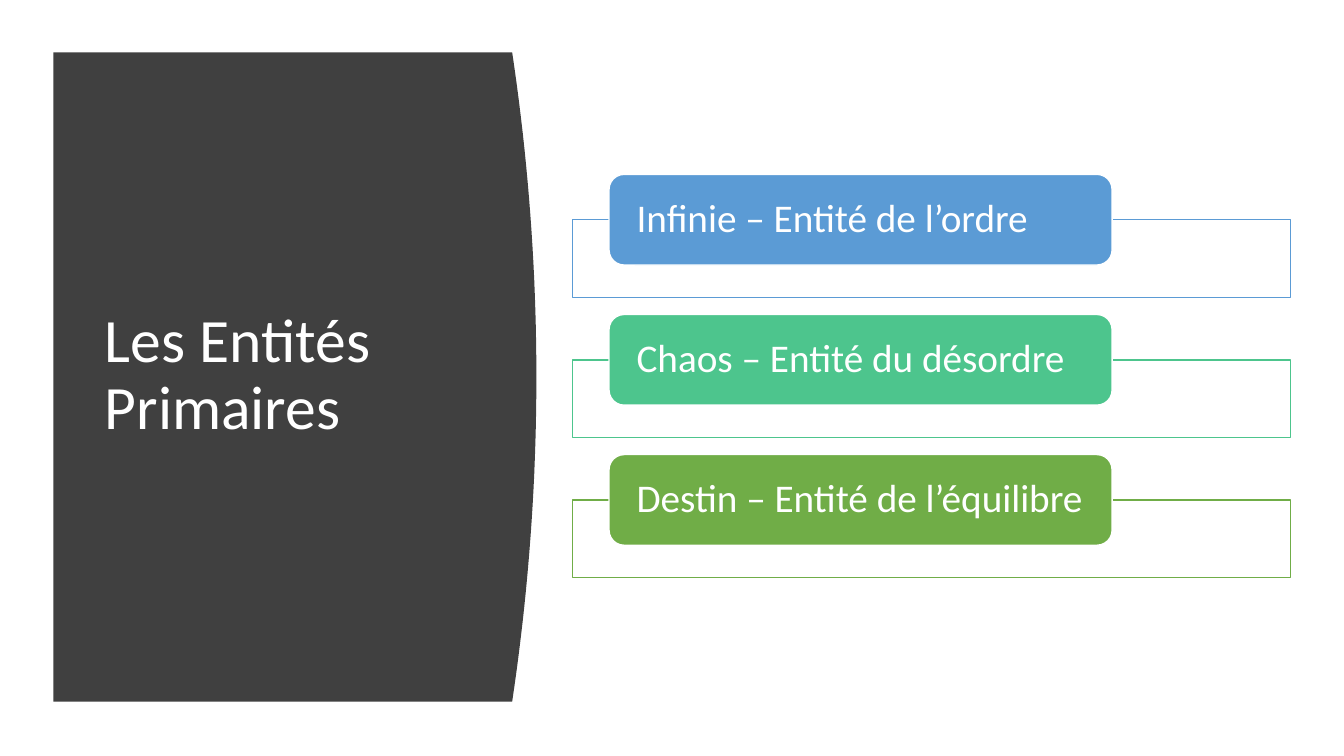
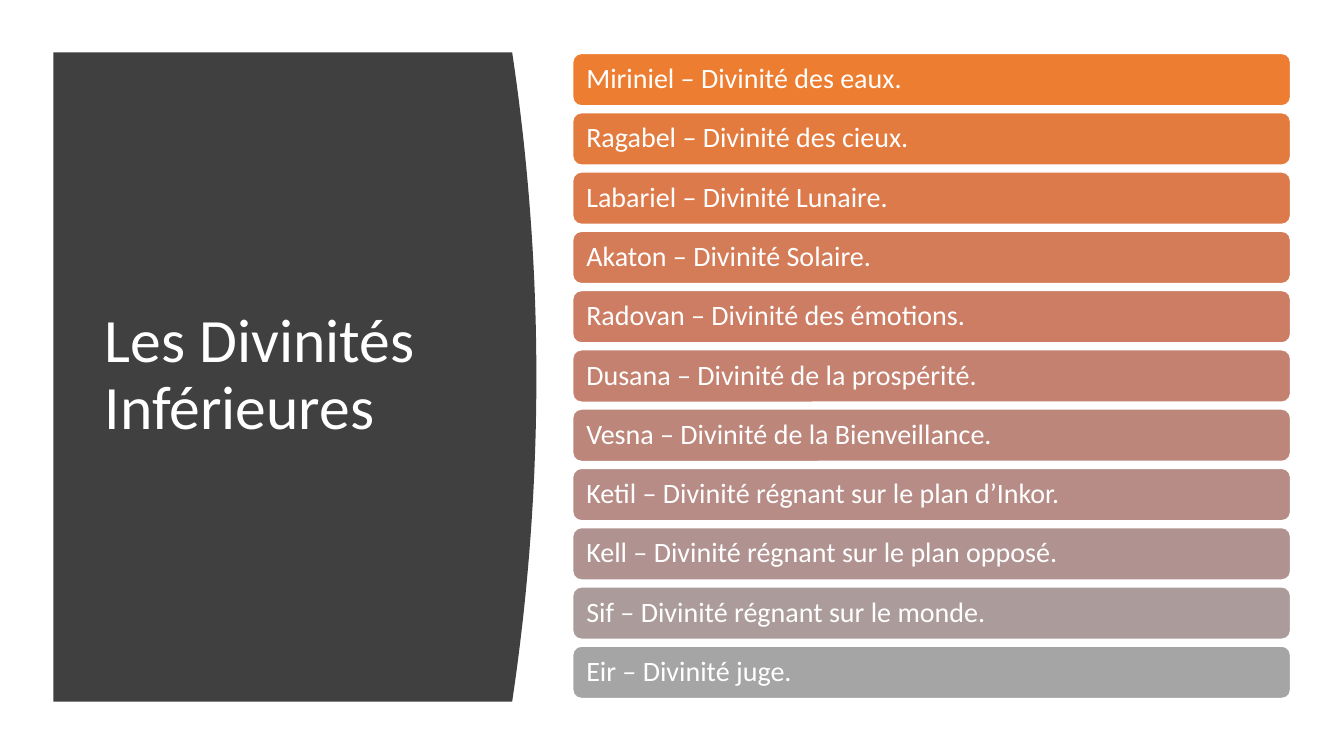
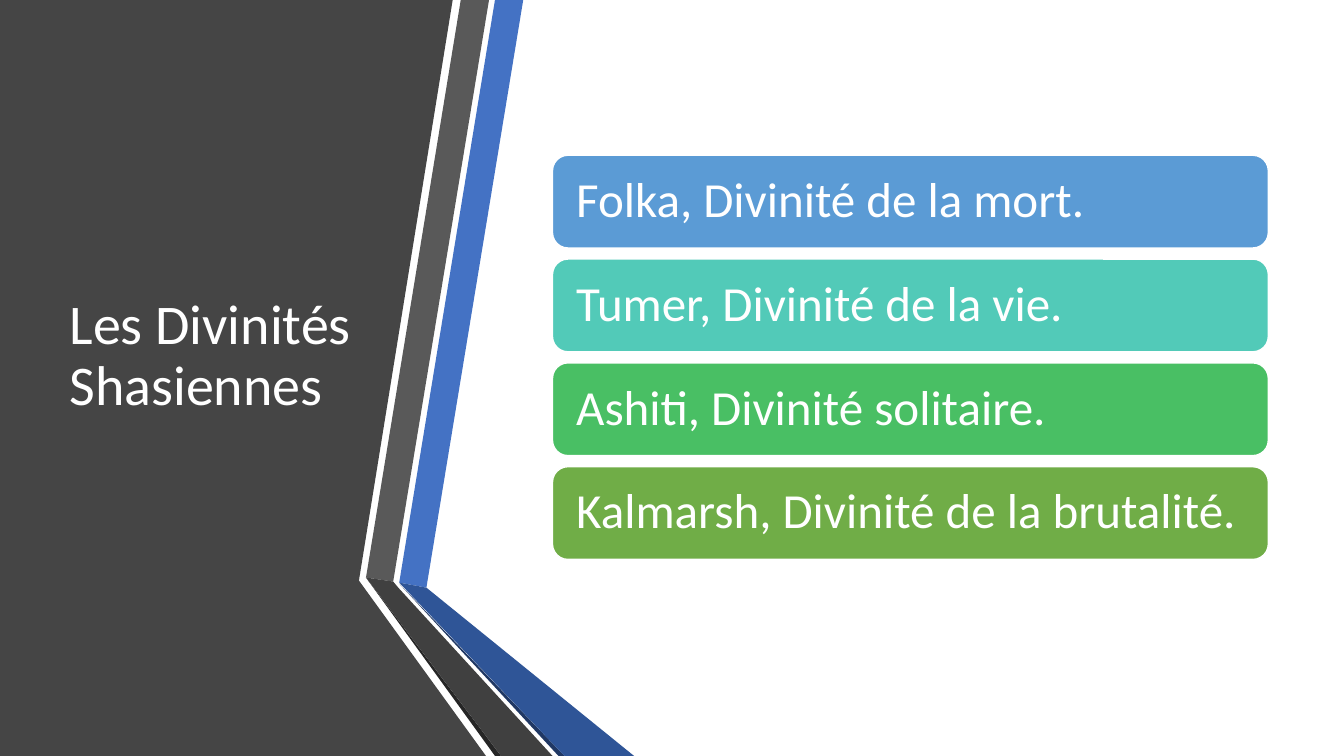
from colorsys import hls_to_rgb, rgb_to_hls
from dataclasses import dataclass

from pptx import Presentation
from pptx.dml.color import RGBColor
from pptx.enum.shapes import MSO_SHAPE
from pptx.enum.text import MSO_ANCHOR, MSO_AUTO_SIZE, PP_ALIGN
from pptx.shapes.autoshape import Shape
from pptx.slide import Slide
from pptx.text.text import TextFrame
from pptx.util import Inches, Pt

FONT = "Calibri"
WHITE = RGBColor(0xFF, 0xFF, 0xFF)
CHARCOAL = RGBColor(0x40, 0x40, 0x40)
SLATE = RGBColor(0x45, 0x45, 0x45)
GREY = RGBColor(0x59, 0x59, 0x59)
BLACKISH = RGBColor(0x26, 0x26, 0x26)
BLUE = RGBColor(0x44, 0x72, 0xC4)
DEEP_BLUE = RGBColor(0x2F, 0x55, 0x97)
NAVY = RGBColor(0x20, 0x38, 0x64)
SKY = RGBColor(0x5B, 0x9B, 0xD5)
GREEN = RGBColor(0x70, 0xAD, 0x47)
ORANGE = RGBColor(0xED, 0x7D, 0x31)
SILVER = RGBColor(0xA5, 0xA5, 0xA5)

Point = tuple[float, float]
Box = tuple[float, float, float, float]

PANEL_TITLE: Box = (0.94, 1.11, 3.74, 5.24)
RIBBON_TITLE: Box = (0.59, 0.75, 3.04, 5.58)


@dataclass(frozen=True)
class BarList:
    """A column of equal bars whose colours run from first to last."""
    texts: list[str]
    left: float
    width: float
    height: float
    top_first: float
    top_last: float
    size: float
    inset: float
    first: RGBColor
    last: RGBColor
    framed: bool = False


@dataclass(frozen=True)
class Facet:
    """A filled polygon."""
    color: RGBColor
    points: list[Point]


ENTITIES = BarList(
    ["Infinie – Entité de l’ordre", "Chaos – Entité du désordre",
     "Destin – Entité de l’équilibre"],
    6.04, 4.99, 0.9, 1.73, 4.51, 28, 0.23, SKY, GREEN, framed=True)

LESSER_GODS = BarList(
    ["Miriniel – Divinité des eaux.", "Ragabel – Divinité des cieux.",
     "Labariel – Divinité Lunaire.", "Akaton – Divinité Solaire.",
     "Radovan – Divinité des émotions.", "Dusana – Divinité de la prospérité.",
     "Vesna – Divinité de la Bienveillance.",
     "Ketil – Divinité régnant sur le plan d’Inkor.",
     "Kell – Divinité régnant sur le plan opposé.",
     "Sif – Divinité régnant sur le monde.", "Eir – Divinité juge."],
    5.68, 7.12, 0.52, 0.53, 6.41, 20, 0.11, ORANGE, SILVER)

SHASIAN_GODS = BarList(
    ["Folka, Divinité de la mort.", "Tumer, Divinité de la vie.",
     "Ashiti, Divinité solitaire.", "Kalmarsh, Divinité de la brutalité."],
    5.48, 7.1, 0.92, 1.54, 4.63, 35, 0.19, SKY, GREEN)

RIBBONS = [
    Facet(SLATE, [(0, 0), (4.49, 0), (3.56, 5.76), (4.82, 7.5), (0, 7.5)]),
    Facet(BLUE, [(3.96, 5.78), (4.23, 5.83), (5.19, 0), (4.91, 0)]),
    Facet(GREY, [(4.85, 0), (4.57, 0), (3.63, 5.73), (3.9, 5.77)]),
    Facet(BLACKISH, [(3.63, 5.73), (4.91, 7.5), (4.97, 7.5)]),
    Facet(NAVY, [(3.96, 5.79), (5.54, 7.5), (5.6, 7.5)]),
    Facet(DEEP_BLUE, [(3.96, 5.78), (5.6, 7.5), (6.29, 7.5), (4.23, 5.83)]),
    Facet(CHARCOAL, [(5.48, 7.5), (3.95, 5.83), (3.9, 5.77), (3.63, 5.73),
                     (4.97, 7.5)]),
]


def curved_panel() -> Facet:
    """Return the dark panel with a bulging right edge."""
    top, bottom, bulge_x, depth, steps = 0.52, 6.96, 5.32, 0.24, 40
    edge = []
    for i in range(steps + 1):
        t = i / steps
        edge.append((bulge_x - depth * (2 * t - 1) ** 2,
                     top + t * (bottom - top)))
    return Facet(CHARCOAL, [(0.53, top), *edge, (0.53, bottom)])


def blend(first: RGBColor, last: RGBColor, t: float) -> RGBColor:
    """Mix two colours by hue, lightness and saturation."""
    start, end = (rgb_to_hls(*(v / 255 for v in c)) for c in (first, last))
    mixed = hls_to_rgb(*(a + (b - a) * t for a, b in zip(start, end)))
    return RGBColor(*(round(v * 255) for v in mixed))


def style_text(tf: TextFrame, size: float) -> None:
    """Give a text frame the white, left-aligned, centred-height style."""
    tf.word_wrap = True
    tf.auto_size = MSO_AUTO_SIZE.NONE
    tf.vertical_anchor = MSO_ANCHOR.MIDDLE
    for p in tf.paragraphs:
        p.alignment = PP_ALIGN.LEFT
        p.line_spacing = 0.9
        for r in p.runs:
            r.font.name = FONT
            r.font.size = Pt(size)
            r.font.color.rgb = WHITE


def add_box(s: Slide, kind: MSO_SHAPE, box: Box, fill: RGBColor,
            line: RGBColor) -> Shape:
    """Draw a flat preset shape with a thin outline."""
    sp = s.shapes.add_shape(kind, *(Inches(v) for v in box))
    sp.shadow.inherit = False
    sp.fill.solid()
    sp.fill.fore_color.rgb = fill
    sp.line.color.rgb = line
    sp.line.width = Pt(1)
    return sp


def add_facet(s: Slide, facet: Facet) -> None:
    """Draw a polygon without outline."""
    start, *rest = [(Inches(x), Inches(y)) for x, y in facet.points]
    builder = s.shapes.build_freeform(*start)
    builder.add_line_segments(rest, close=True)
    sp = builder.convert_to_shape()
    sp.shadow.inherit = False
    sp.fill.solid()
    sp.fill.fore_color.rgb = facet.color
    sp.line.fill.background()


def add_bars(s: Slide, bars: BarList) -> None:
    """Draw the bars at an equal pitch, each over its frame if framed."""
    steps = len(bars.texts) - 1
    for i, text in enumerate(bars.texts):
        t = i / steps
        top = bars.top_first + t * (bars.top_last - bars.top_first)
        color = blend(bars.first, bars.last, t)
        if bars.framed:
            add_box(s, MSO_SHAPE.RECTANGLE,
                    (5.68, top + bars.height / 2, 7.12, 0.77), WHITE, color)
        sp = add_box(s, MSO_SHAPE.ROUNDED_RECTANGLE,
                     (bars.left, top, bars.width, bars.height), color, WHITE)
        tf = sp.text_frame
        tf.text = text
        tf.margin_left = tf.margin_right = Inches(bars.inset)
        tf.margin_top = tf.margin_bottom = 0
        style_text(tf, bars.size)


def add_list_slide(prs: Presentation, title: str, title_box: Box, size: float,
                   backdrop: list[Facet], bars: BarList) -> None:
    """Add a slide with a dark backdrop, its title and a column of bars."""
    s = prs.slides.add_slide(prs.slide_layouts[5])
    for facet in backdrop:
        add_facet(s, facet)
    sp = s.shapes.title
    sp.element.getparent().append(sp.element)
    sp.left, sp.top, sp.width, sp.height = (Inches(v) for v in title_box)
    sp.text_frame.text = title
    style_text(sp.text_frame, size)
    add_bars(s, bars)


prs = Presentation()
prs.slide_width = Inches(13.33)
prs.slide_height = Inches(7.5)
panel = [curved_panel()]
add_list_slide(prs, "Les Entités Primaires", PANEL_TITLE, 44, panel, ENTITIES)
add_list_slide(prs, "Les Divinités Inférieures", PANEL_TITLE, 44, panel,
               LESSER_GODS)
add_list_slide(prs, "Les Divinités Shasiennes", RIBBON_TITLE, 40, RIBBONS,
               SHASIAN_GODS)
prs.save("out.pptx")
